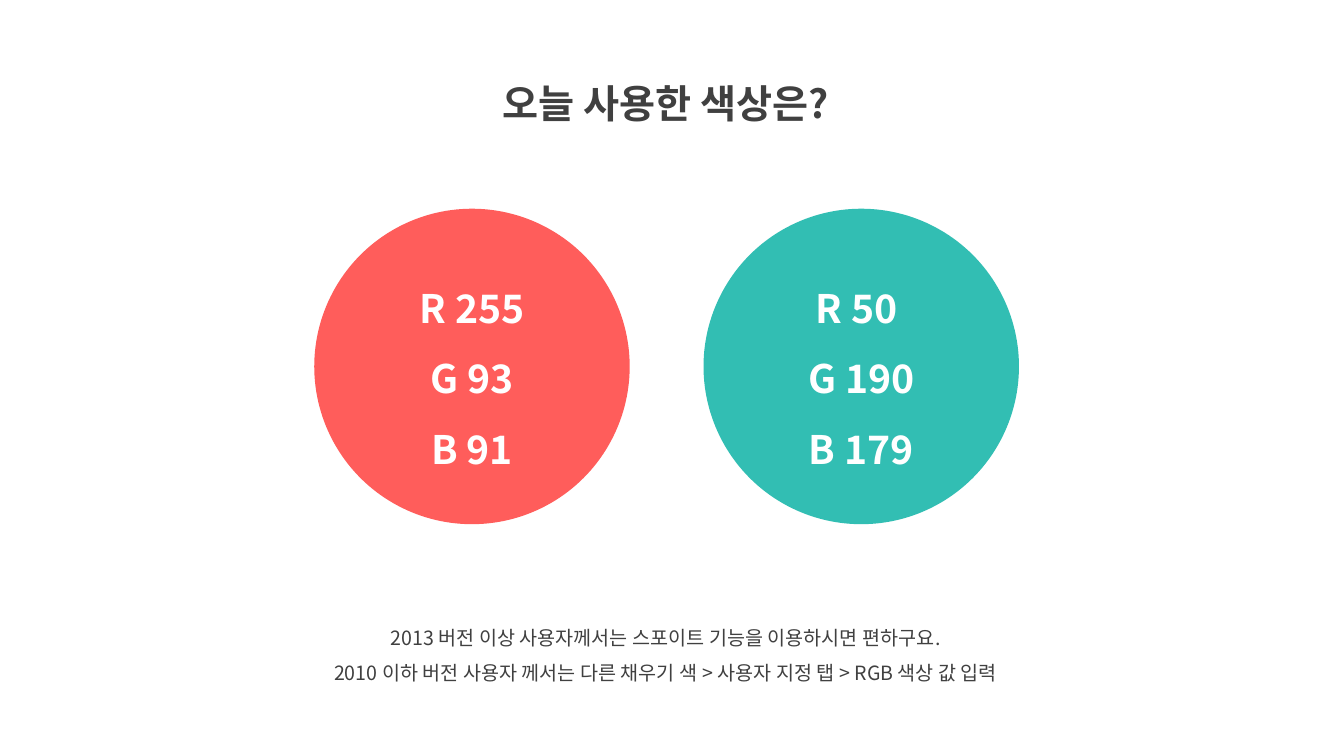
from dataclasses import dataclass

from lxml.etree import SubElement
from pptx import Presentation
from pptx.dml.color import RGBColor
from pptx.enum.shapes import MSO_SHAPE as Shape
from pptx.enum.text import MSO_ANCHOR as Anchor, MSO_AUTO_SIZE as AutoSize, PP_ALIGN as Align
from pptx.oxml.ns import qn
from pptx.slide import Slide
from pptx.text.text import TextFrame
from pptx.util import Cm, Pt

FONT = "Noto Sans CJK KR"
COLORS = {
    "text": "404040",
    "light": "FFFFFF",
    "coral": "FF5D5B",
    "teal": "32BEB3",
}
HEADING = {"size": Pt(28), "bold": True}
BODY = {"size": Pt(14), "bold": False}
CIRCLE_TOP = 5.26
CIRCLE_SIZE = 7.95


@dataclass
class Swatch:
    left: float
    color: str
    channels: list[str]


SWATCHES = [
    Swatch(7.92, "coral", ["R 255", "G 93", "B 91"]),
    Swatch(17.73, "teal", ["R 50 ", "G 190", "B 179"]),
]
TITLE = "오늘 사용한 색상은?"
INSTRUCTIONS = [
    "2013 버전 이상 사용자께서는 스포이트 기능을 이용하시면 편하구요.",
    "2010 이하 버전 사용자 께서는 다른 채우기 색 > 사용자 지정 탭 > RGB 색상 값 입력",
]


def write_lines(frame: TextFrame, lines: list[str], font_format: dict, color: str,
                anchor: Anchor = Anchor.TOP) -> None:
    frame.word_wrap = True
    frame.auto_size = AutoSize.NONE
    frame.vertical_anchor = anchor
    for index, line in enumerate(lines):
        paragraph = frame.paragraphs[0] if index == 0 else frame.add_paragraph()
        paragraph.alignment = Align.CENTER
        paragraph.line_spacing = 1.5
        paragraph.space_before = Pt(0)
        run = paragraph.add_run()
        run.text = line
        for attribute, value in {"name": FONT, **font_format}.items():
            setattr(run.font, attribute, value)
        run.font.color.rgb = RGBColor.from_string(COLORS[color])
        # Hangul takes its typeface from the East Asian font element
        SubElement(run._r.get_or_add_rPr(), qn("a:ea"), typeface=FONT)


def add_title(slide: Slide) -> None:
    title = slide.shapes.title
    bounds = {"left": Cm(10.9), "top": Cm(1.27), "width": Cm(11.76), "height": Cm(1.83)}
    for attribute, value in bounds.items():
        setattr(title, attribute, value)
    write_lines(title.text_frame, [TITLE], HEADING, "text")


def add_swatch(slide: Slide, swatch: Swatch) -> None:
    circle = slide.shapes.add_shape(
        Shape.OVAL, Cm(swatch.left), Cm(CIRCLE_TOP), Cm(CIRCLE_SIZE), Cm(CIRCLE_SIZE))
    circle.shadow.inherit = False
    circle.fill.solid()
    circle.fill.fore_color.rgb = RGBColor.from_string(COLORS[swatch.color])
    circle.line.fill.background()
    write_lines(circle.text_frame, swatch.channels, HEADING, "light", Anchor.MIDDLE)


def add_instructions(slide: Slide) -> None:
    instructions = slide.shapes.add_textbox(Cm(6.63), Cm(15.34), Cm(20.29), Cm(2.06))
    write_lines(instructions.text_frame, INSTRUCTIONS, BODY, "text")


def main() -> None:
    presentation = Presentation()
    presentation.slide_width = Cm(33.87)
    presentation.slide_height = Cm(19.05)
    slide = presentation.slides.add_slide(presentation.slide_layouts.get_by_name("Title Only"))
    add_title(slide)
    for swatch in SWATCHES:
        add_swatch(slide, swatch)
    add_instructions(slide)
    presentation.save("out.pptx")


if __name__ == "__main__":
    main()
